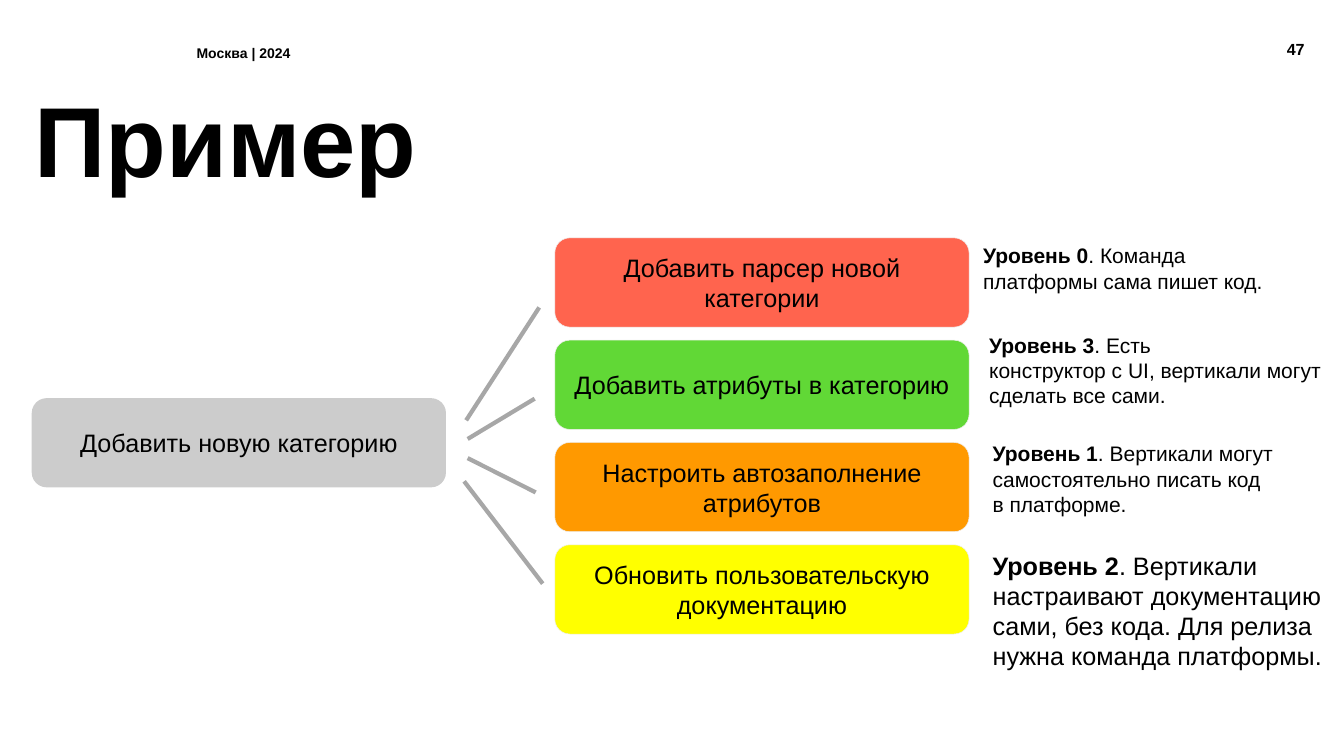
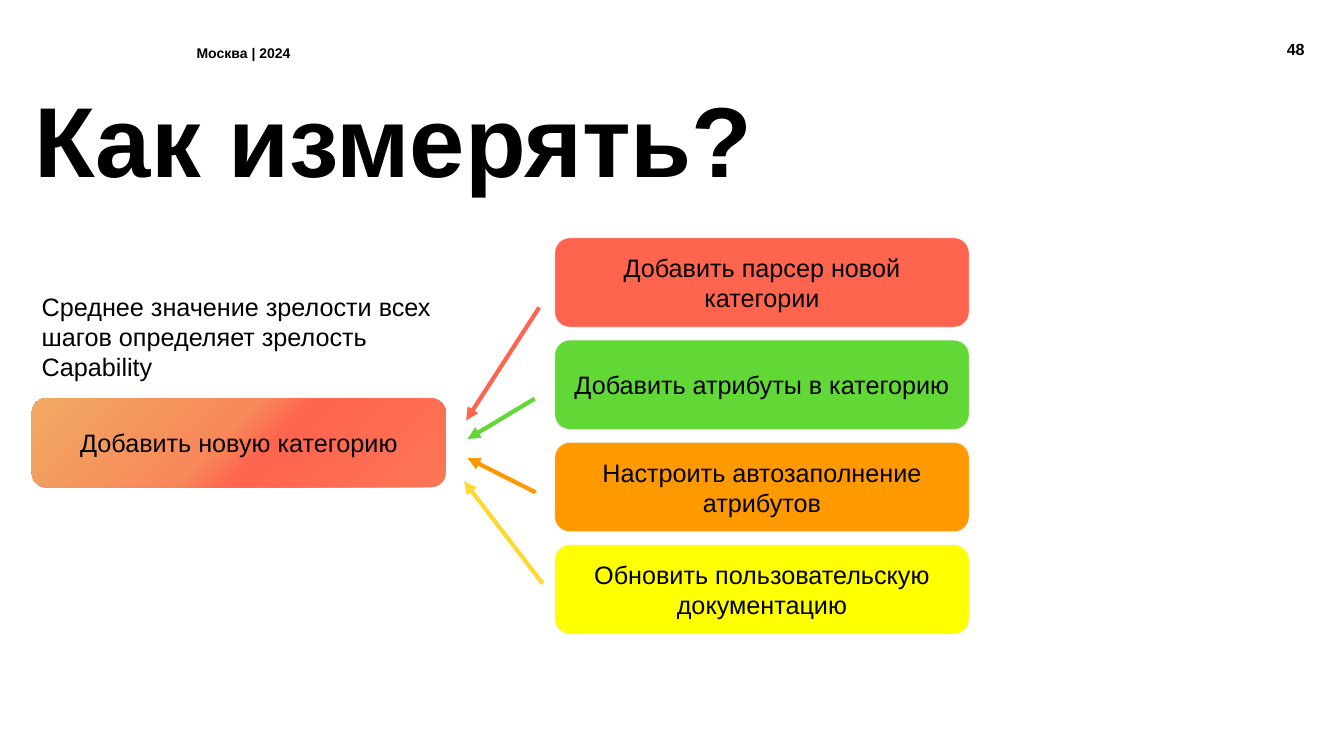
from lxml.etree import SubElement
from pptx import Presentation
from pptx.dml.color import RGBColor
from pptx.enum.shapes import MSO_CONNECTOR as Conn, MSO_SHAPE as Shape
from pptx.enum.text import MSO_ANCHOR as Anchor, MSO_AUTO_SIZE as Auto, PP_ALIGN as Align
from pptx.oxml.ns import qn
from pptx.util import Inches, Pt

FONT = "Arial"
BLACK, GREY, LINE, EDGE = "000000", "CCCCCC", "A7A7A7", "EFEFEF"
RED, GREEN, ORANGE, YELLOW, GOLD = "FF644E", "61D836", "FF9900", "FFFF00", "FFD932"
BLEND = [(0, "FDECDB"), (0, "FC7654"), (43, RED), (54, "F88759"), (100, "F0AA63")]

FOOTER = "Москва | 2024"
GOAL = "Добавить новую категорию"
STEPS = [
    ("Добавить парсер новой категории", RED),
    ("Добавить атрибуты в категорию", GREEN),
    ("Настроить автозаполнение атрибутов", ORANGE),
    ("Обновить пользовательскую документацию", YELLOW),
]
# Goal end and step end of each link
LINKS = [
    ((9.25, 8.34), (10.7, 6.1)),
    ((9.28, 8.71), (10.61, 7.91)),
    ((9.28, 9.09), (10.63, 9.77)),
    ((9.21, 9.55), (10.77, 11.58)),
]
# Place, size, level, rest of its line, further lines
LEVELS = [
    ((19.41, 4.72, 6.97, 1.21), 30, "Уровень 0", ". Команда",
     ["платформы сама пишет код."]),
    ((19.53, 6.49, 6.97, 1.72), 30, "Уровень 3", ". Есть",
     ["конструктор с UI, вертикали могут сделать все сами."]),
    ((19.6, 8.65, 6.97, 1.72), 30, "Уровень 1",
     ". Вертикали могут самостоятельно писать код", ["в платформе."]),
    ((19.6, 10.81, 6.97, 2.63), 36, "Уровень 2",
     ". Вертикали настраивают документацию сами, без кода. "
     "Для релиза нужна команда платформы.", []),
]
SLIDES = [
    dict(title="Пример", page=47, goal=GREY, links=[LINE] * 4, arrow=False,
         levels=LEVELS, note=""),
    dict(title="Как измерять?", page=48, goal=BLEND,
         links=[RED, GREEN, ORANGE, GOLD], arrow=True, levels=[],
         note="Среднее значение зрелости всех шагов определяет зрелость Capability"),
]

BOX_W, BOX_H, PITCH = 8.22, 1.77, 2.03
GOAL_X, GOAL_Y, STEP_X, STEP_Y = 0.63, 7.9, 11.01, 4.72


def color(code):
    return RGBColor.from_string(code)


def box(place):
    return [Inches(v) for v in place]


def write(shape, paras, size, inset=0.1, align=Align.LEFT, anchor=Anchor.TOP, space=1.0):
    """Fill the shape with paragraphs, each a list of (text, bold) runs."""
    frame = shape.text_frame
    look = dict(word_wrap=True, auto_size=Auto.NONE, vertical_anchor=anchor)
    look |= {"margin_" + side: Inches(inset) for side in ("left", "top", "right", "bottom")}
    for key, val in look.items():
        setattr(frame, key, val)
    for i, runs in enumerate(paras):
        para = frame.add_paragraph() if i else frame.paragraphs[0]
        para.alignment, para.line_spacing = align, space
        para.space_before = Pt(0)
        for text, bold in runs:
            run = para.add_run()
            run.text = text
            for key, val in dict(name=FONT, size=Pt(size), bold=bold).items():
                setattr(run.font, key, val)
            run.font.color.rgb = color(BLACK)


def add_text(slide, place, paras, size, **opts):
    write(slide.shapes.add_textbox(*box(place)), paras, size, **opts)


def blend(fill, stops):
    fill.gradient()
    fill.gradient_angle = 135
    group = fill._xPr.find(qn("a:gradFill")).find(qn("a:gsLst"))
    for old in list(group):
        group.remove(old)
    for pos, code in stops:
        stop = SubElement(group, qn("a:gs"), pos=str(pos * 1000))
        SubElement(stop, qn("a:srgbClr"), val=code)


def add_card(slide, left, top, text, paint, edge=None):
    card = slide.shapes.add_shape(Shape.ROUNDED_RECTANGLE, *box((left, top, BOX_W, BOX_H)))
    card.adjustments[0] = 0.167
    card.shadow.inherit = False
    if isinstance(paint, list):
        blend(card.fill, paint)
    else:
        card.fill.solid()
        card.fill.fore_color.rgb = color(paint)
    if edge:
        card.line.color.rgb = color(edge)
        card.line.width = Pt(0.75)
    else:
        card.line.fill.background()
    write(card, [[(text, False)]], 36, align=Align.CENTER, anchor=Anchor.MIDDLE)


def add_link(slide, start, end, code, arrow):
    link = slide.shapes.add_connector(Conn.STRAIGHT, *box(start + end))
    link.line.color.rgb = color(code)
    link.line.width = Pt(6)
    if arrow:
        SubElement(link.line._get_or_add_ln(), qn("a:headEnd"), type="triangle")
    SubElement(link._element.spPr, qn("a:effectLst"))


def add_frame(slide, title, page):
    """Place the footer, the page number and the title."""
    add_text(slide, (3.84, 0.83, 2.77, 0.45), [[(FOOTER, True)]], 20, inset=0.06)
    add_text(slide, (25.04, 0.72, 0.91, 0.5), [[(str(page), True)]], 23, inset=0.06,
             align=Align.RIGHT, anchor=Anchor.BOTTOM)
    head = slide.shapes.title
    head.left, head.top, head.width, head.height = box((0.63, 1.77, 23.79, 2.51))
    write(head, [[(title, True)]], 142, inset=0.05, space=0.9)


def build(deck, data):
    slide = deck.slides.add_slide(deck.slide_layouts[5])
    add_frame(slide, data["title"], data["page"])
    add_card(slide, GOAL_X, GOAL_Y, GOAL, data["goal"])
    for i, (text, code) in enumerate(STEPS):
        add_card(slide, STEP_X, STEP_Y + i * PITCH, text, code, EDGE)
    for (start, end), code in zip(LINKS, data["links"]):
        add_link(slide, start, end, code, data["arrow"])
    for place, size, level, rest, more in data["levels"]:
        paras = [[(level, True), (rest, False)]] + [[(text, False)] for text in more]
        add_text(slide, place, paras, size)
    if data["note"]:
        add_text(slide, (0.73, 5.68, 8.74, 2.02), [[(data["note"], False)]], 36)


def main():
    deck = Presentation()
    deck.slide_width, deck.slide_height = Inches(26.67), Inches(15)
    for data in SLIDES:
        build(deck, data)
    deck.save("out.pptx")


if __name__ == "__main__":
    main()
